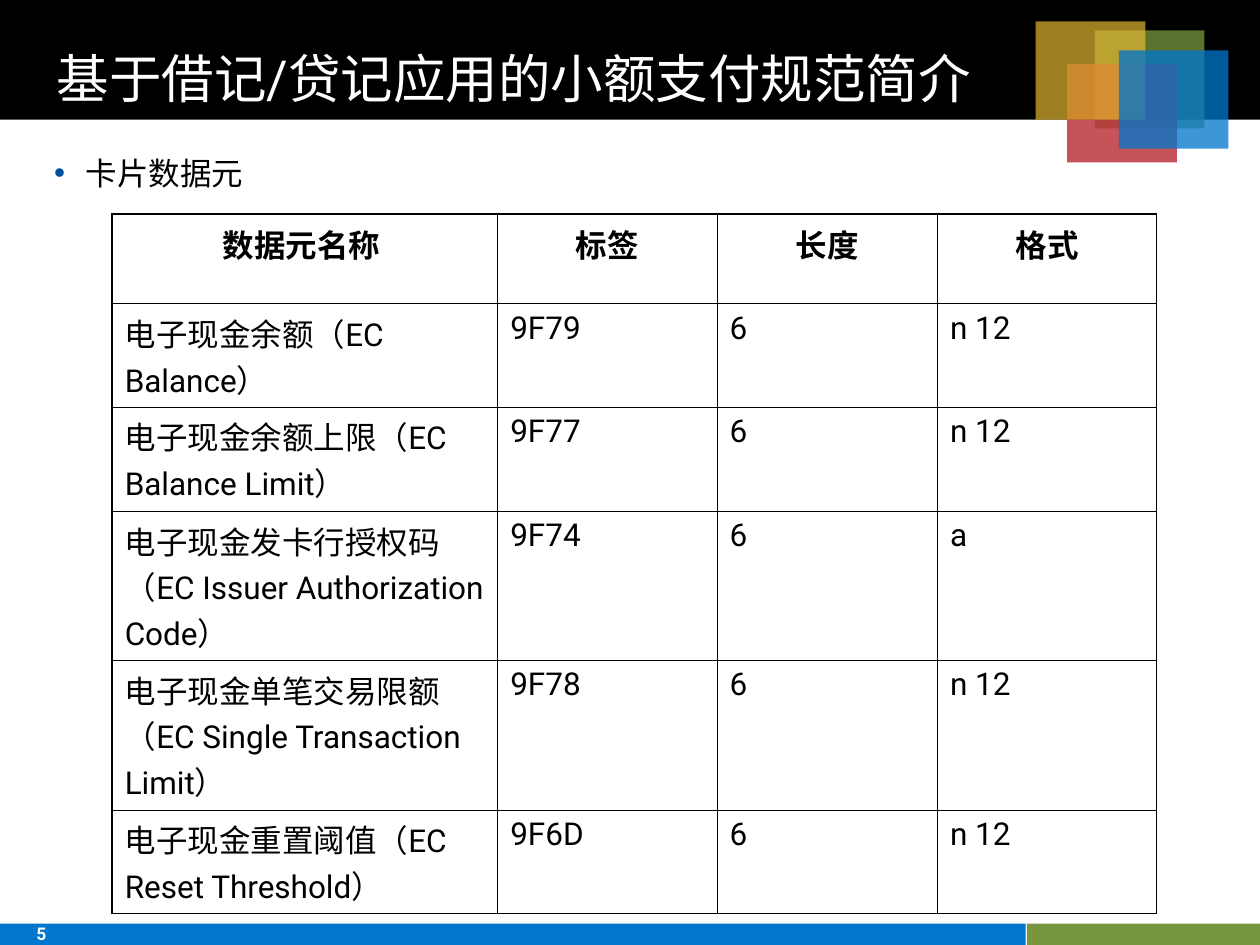
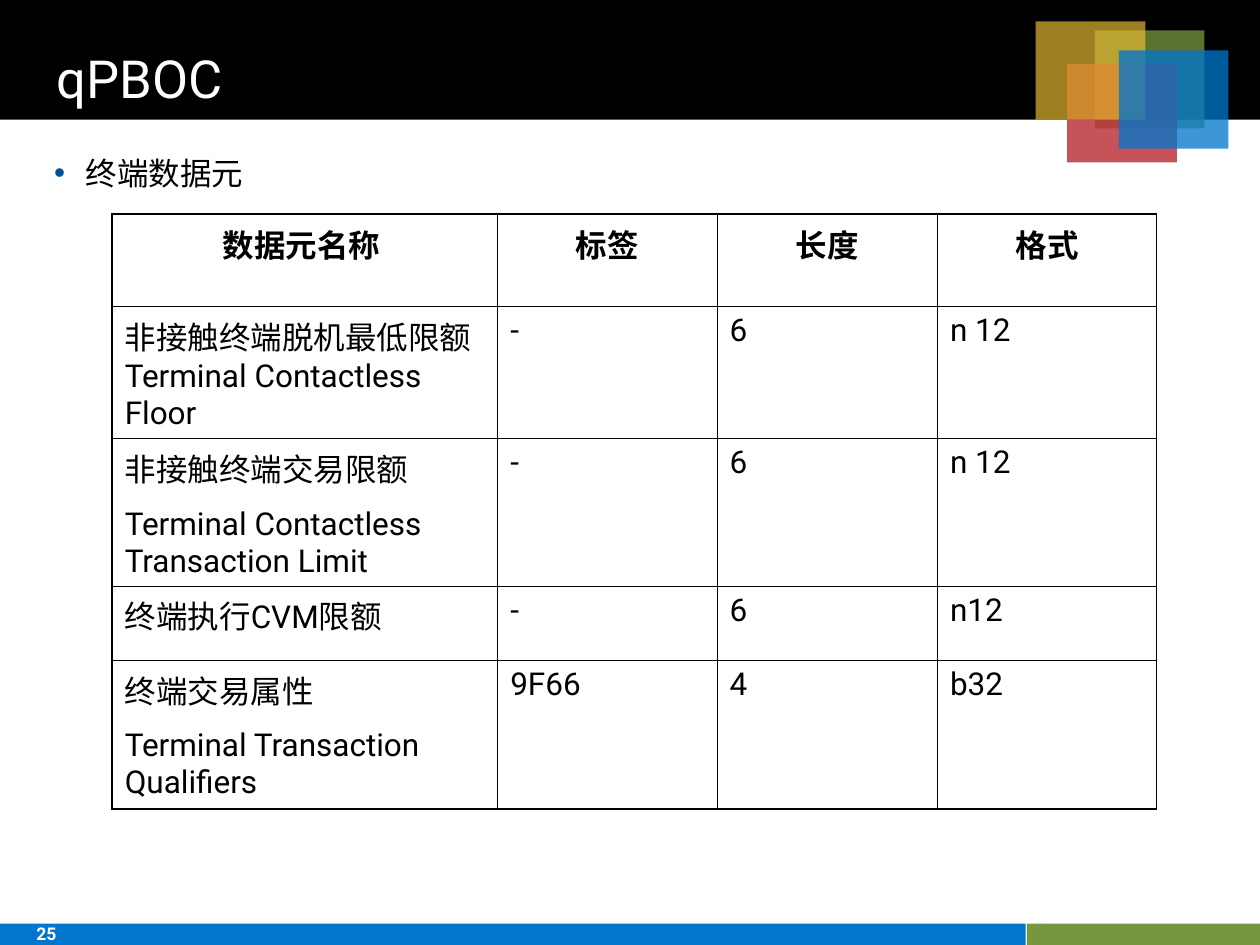
from dataclasses import dataclass

from lxml.etree import SubElement
from pptx import Presentation
from pptx.dml.color import RGBColor
from pptx.enum.lang import MSO_LANGUAGE_ID
from pptx.enum.shapes import MSO_SHAPE
from pptx.enum.text import MSO_ANCHOR, MSO_AUTO_SIZE, PP_ALIGN
from pptx.oxml.ns import qn
from pptx.util import Inches, Pt


@dataclass(frozen=True)
class Theme:
    font: str = "Roboto"
    black: str = "000000"
    white: str = "FFFFFF"
    blue: str = "0076CD"
    green: str = "78963E"
    red: str = "BA2A34"
    gold: str = "E8BA31"
    bullet: str = "0050A0"
    title_size: float = 30
    text_size: float = 18
    number_size: float = 10
    paragraph_gap: float = 4.5
    outer_line: float = 1.08
    inner_line: float = 0.45


theme = Theme()

HEADINGS = ["数据元名称 ", "标签", "长度", "格式"]
COLUMN_WIDTHS = [3.06, 1.74, 1.75, 1.74]

PAGES = [
    {
        "number": "5",
        "title": "基于借记/贷记应用的小额支付规范简介",
        "topic": "卡片数据元",
        "row_heights": [0.71, 0.82, 0.83, 1.18, 1.19, 0.82],
        "rows": [
            ["电子现金余额（EC Balance）", "9F79", "6", "n 12"],
            ["电子现金余额上限（EC Balance Limit）", "9F77", "6", "n 12"],
            ["电子现金发卡行授权码（EC Issuer Authorization Code）", "9F74", "6", "a"],
            ["电子现金单笔交易限额（EC Single Transaction Limit）", "9F78", "6", "n 12"],
            ["电子现金重置阈值（EC Reset Threshold）", "9F6D", "6", "n 12"],
        ],
    },
    {
        "number": "25",
        "title": "qPBOC",
        "topic": "终端数据元",
        "row_heights": [0.73, 1.05, 1.17, 0.59, 1.18],
        "rows": [
            ["非接触终端脱机最低限额Terminal Contactless Floor", "-", "6", "n 12"],
            ["非接触终端交易限额\nTerminal Contactless Transaction Limit", "-", "6", "n 12"],
            ["终端执行CVM限额", "-", "6", "n12"],
            ["终端交易属性\nTerminal Transaction Qualifiers", "9F66", "4", "b32"],
        ],
    },
]


def add_block(shapes, left, top, width, height, color, opacity=100):
    block = shapes.add_shape(
        MSO_SHAPE.RECTANGLE, Inches(left), Inches(top), Inches(width), Inches(height)
    )
    block.shadow.inherit = False
    block.line.fill.background()
    block.fill.solid()
    block.fill.fore_color.rgb = RGBColor.from_string(color)
    if opacity < 100:
        for color_node in block.element.spPr.iter(qn("a:srgbClr")):
            SubElement(color_node, qn("a:alpha"), val=str(opacity * 1000))
    return block


def format_text(frame, size, color, bold=False, align=PP_ALIGN.LEFT, gap=theme.paragraph_gap):
    for para in frame.paragraphs:
        para.alignment = align
        para.space_before = para.space_after = Pt(gap)
        for span in para.runs:
            span.font.name = theme.font
            span.font.size = Pt(size)
            span.font.bold = bold
            span.font.color.rgb = RGBColor.from_string(color)
            span.font.language_id = MSO_LANGUAGE_ID.SIMPLIFIED_CHINESE


deck = Presentation()
deck.slide_width, deck.slide_height = Inches(10), Inches(7.5)
layout = deck.slide_layouts[1]
slides = [deck.slides.add_slide(layout) for _ in PAGES]

# Bands and overlapping tiles, drawn once and moved to the master
canvas = slides[0].shapes
decorations = [
    add_block(canvas, 0, 0, 10, 0.95, theme.black),
    add_block(canvas, 0, 7.33, 8.14, 0.17, theme.blue),
    add_block(canvas, 8.15, 7.33, 1.85, 0.17, theme.green),
]
tiles = canvas.add_group_shape()
for left, top, color, opacity in [
    (8.69, 0.24, theme.green, 77),
    (8.47, 0.51, theme.red, 81),
    (8.22, 0.17, theme.gold, 68),
    (8.88, 0.4, theme.blue, 76),
]:
    add_block(tiles.shapes, left, top, 0.87, 0.78, color, opacity)
decorations.append(tiles)

shape_id = 100
for decoration in decorations:
    for properties in decoration.element.iter(qn("p:cNvPr")):
        properties.set("id", str(shape_id))
        shape_id += 1
    deck.slide_master.shapes.element.append(decoration.element)

for slide, page in zip(slides, PAGES):
    # Title
    title = slide.shapes.title
    title.left, title.top = Inches(0.35), Inches(0.35)
    title.width, title.height = Inches(7.86), Inches(0.58)
    title.text_frame.text = page["title"]
    title.text_frame.vertical_anchor = MSO_ANCHOR.BOTTOM
    title.text_frame.auto_size = MSO_AUTO_SIZE.SHAPE_TO_FIT_TEXT
    format_text(title.text_frame, theme.title_size, theme.white, gap=0)
    title.text_frame.paragraphs[0].line_spacing = 0.95

    # Bulleted topic
    body = slide.placeholders[1]
    body.left, body.top = Inches(0.33), Inches(1.17)
    body.width, body.height = Inches(4.37), Inches(0.83)
    body.text_frame.text = page["topic"]
    body.text_frame.auto_size = MSO_AUTO_SIZE.NONE
    format_text(body.text_frame, theme.text_size, theme.black)
    properties = body.text_frame.paragraphs[0]._p.get_or_add_pPr()
    properties.set("marL", str(Inches(0.25)))
    properties.set("indent", str(-Inches(0.25)))
    bullet_color = SubElement(properties, qn("a:buClr"))
    SubElement(bullet_color, qn("a:srgbClr"), val=theme.bullet)
    SubElement(properties, qn("a:buChar"), char="•")

    # Page number
    box = slide.shapes.add_textbox(Inches(0.19), Inches(7.28), Inches(0.83), Inches(0.3))
    box.text_frame.word_wrap = True
    box.text_frame.auto_size = MSO_AUTO_SIZE.SHAPE_TO_FIT_TEXT
    box.text_frame.text = page["number"]
    format_text(box.text_frame, theme.number_size, theme.white, bold=True, gap=0)
    box.text_frame.paragraphs[0].space_before = Pt(6.2)

    # Data element table
    rows = [HEADINGS] + page["rows"]
    last_row, last_column = len(rows) - 1, len(HEADINGS) - 1
    table = slide.shapes.add_table(
        len(rows), len(HEADINGS), Inches(0.89), Inches(1.7),
        Inches(sum(COLUMN_WIDTHS)), Inches(sum(page["row_heights"])),
    ).table
    table.first_row = table.horz_banding = False
    for column, width in zip(table.columns, COLUMN_WIDTHS):
        column.width = Inches(width)
    for row, height in zip(table.rows, page["row_heights"]):
        row.height = Inches(height)

    for row_index, row in enumerate(rows):
        is_heading = row_index == 0
        for column_index, text in enumerate(row):
            cell = table.cell(row_index, column_index)
            cell.text_frame.text = text
            format_text(
                cell.text_frame, theme.text_size, theme.black, bold=is_heading,
                align=PP_ALIGN.CENTER if is_heading else PP_ALIGN.LEFT,
            )
            # Thicker lines on the outer edge of the table
            for side, is_outer in [
                ("L", column_index == 0),
                ("R", column_index == last_column),
                ("T", is_heading),
                ("B", row_index == last_row),
            ]:
                weight = theme.outer_line if is_outer else theme.inner_line
                border = SubElement(
                    cell._tc.get_or_add_tcPr(), qn(f"a:ln{side}"), w=str(Pt(weight))
                )
                border_fill = SubElement(border, qn("a:solidFill"))
                SubElement(border_fill, qn("a:srgbClr"), val=theme.black)
            cell.fill.background()

deck.save("out.pptx")
